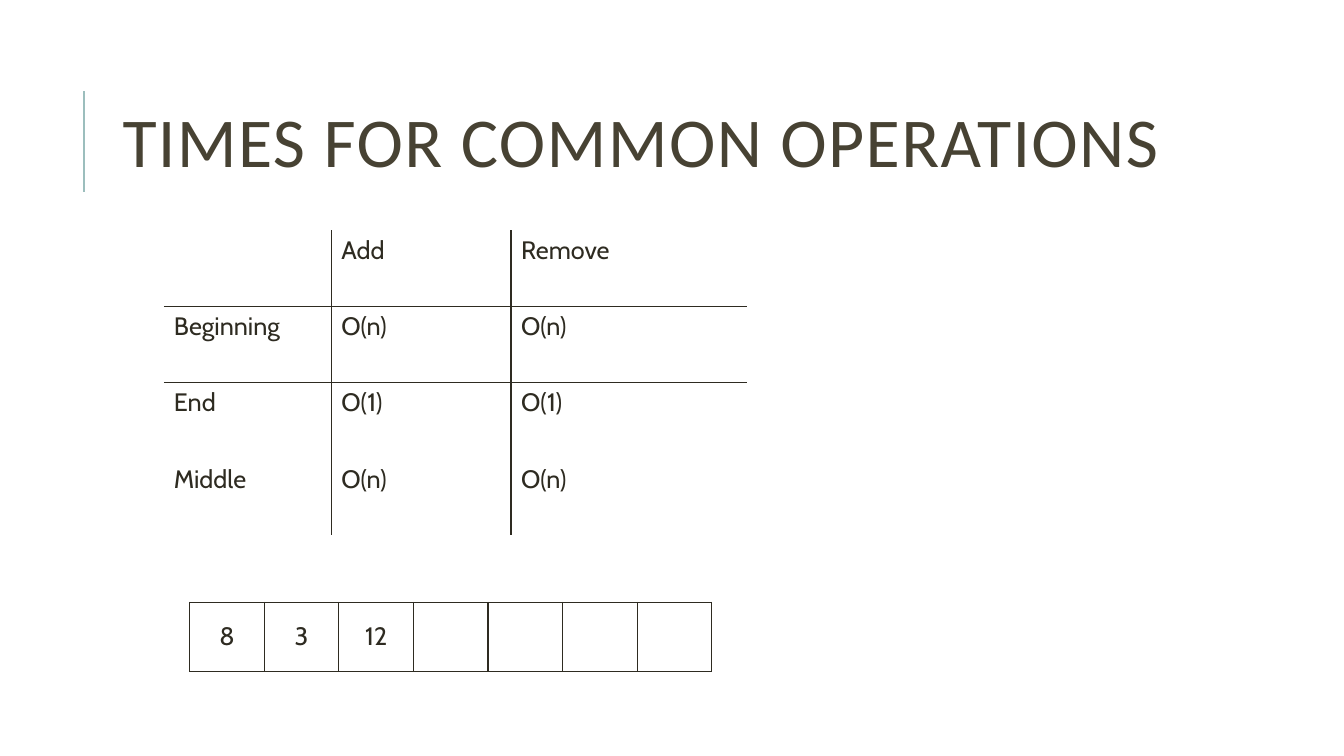
"""Build a slide on the running times of common list operations."""
from lxml import etree
from pptx import Presentation
from pptx import util as u
from pptx.dml.color import RGBColor
from pptx.enum import shapes, text as t
from pptx.oxml import ns

COLORS = {"title": "474233", "ink": "2E2B21", "accent": "9CBEBD"}


def write(frame, text, size=18, font="Cabin", color="ink", align=t.PP_ALIGN.LEFT,
          line_spacing=None, tracking=None):
    para = frame.paragraphs[0]
    para.alignment = align
    para.line_spacing = line_spacing
    span = para.add_run()
    span.text = text
    span.font.size = u.Pt(size)
    span.font.name = font
    span.font.color.rgb = RGBColor.from_string(COLORS[color])
    if tracking:
        span.font._element.set("spc", str(tracking * 100))


def add_grid(left, top, widths, height, rows, has_edge, align, anchor):
    frame = slide.shapes.add_table(len(rows), len(widths), u.Cm(left), u.Cm(top),
                                   u.Cm(sum(widths)), u.Cm(height * len(rows)))
    table = frame.table
    table.first_row = table.horz_banding = False
    for column, width in zip(table.columns, widths):
        column.width = u.Cm(width)
    for r, labels in enumerate(rows):
        table.rows[r].height = u.Cm(height)
        for c, label in enumerate(labels):
            cell = table.cell(r, c)
            cell.vertical_anchor = anchor
            if label:
                write(cell.text_frame, label, align=align)
            edges = {"L": ("v", c), "R": ("v", c + 1), "T": ("h", r), "B": ("h", r + 1)}
            props = cell._tc.get_or_add_tcPr()
            for side, edge in edges.items():
                line = etree.SubElement(props, ns.qn(f"a:ln{side}"), w=str(u.Pt(1)))
                if has_edge(*edge):
                    fill = etree.SubElement(line, ns.qn("a:solidFill"))
                    etree.SubElement(fill, ns.qn("a:srgbClr"), val=COLORS["ink"])
                else:
                    etree.SubElement(line, ns.qn("a:noFill"))
            cell.fill.background()


deck = Presentation()
deck.slide_width, deck.slide_height = u.Cm(33.87), u.Cm(19.05)
slide = deck.slides.add_slide(deck.slide_layouts[6])

rule = slide.shapes.add_connector(shapes.MSO_CONNECTOR.STRAIGHT,
                                  u.Cm(2.12), u.Cm(4.83), u.Cm(2.12), u.Cm(2.3))
rule.line.color.rgb = RGBColor.from_string(COLORS["accent"])
rule.line.width = u.Pt(1.5)
etree.SubElement(rule._element.spPr, ns.qn("a:effectLst"))

title = slide.shapes.add_textbox(u.Cm(2.84), u.Cm(1.63), u.Cm(27), u.Cm(4.17)).text_frame
title.word_wrap = True
title.vertical_anchor = t.MSO_ANCHOR.MIDDLE
write(title, "TIMES FOR COMMON OPERATIONS", size=50, font="Calibri", color="title",
      line_spacing=0.8, tracking=1)

times = [
    ["", "Add", "Remove"],
    ["Beginning", "O(n)", "O(n)"],
    ["End", "O(1)", "O(1)"],
    ["Middle", "O(n)", "O(n)"],
]
add_grid(4.13, 5.8, [4.22, 4.53, 5.95], 1.92, times,
         lambda direction, index: index in (1, 2),
         t.PP_ALIGN.LEFT, t.MSO_ANCHOR.TOP)

array = ["8", "3", "12", "", "", "", ""]
add_grid(4.78, 15.18, [1.88] * len(array), 1.74, [array],
         lambda direction, index: True,
         t.PP_ALIGN.CENTER, t.MSO_ANCHOR.MIDDLE)

deck.save("out.pptx")
